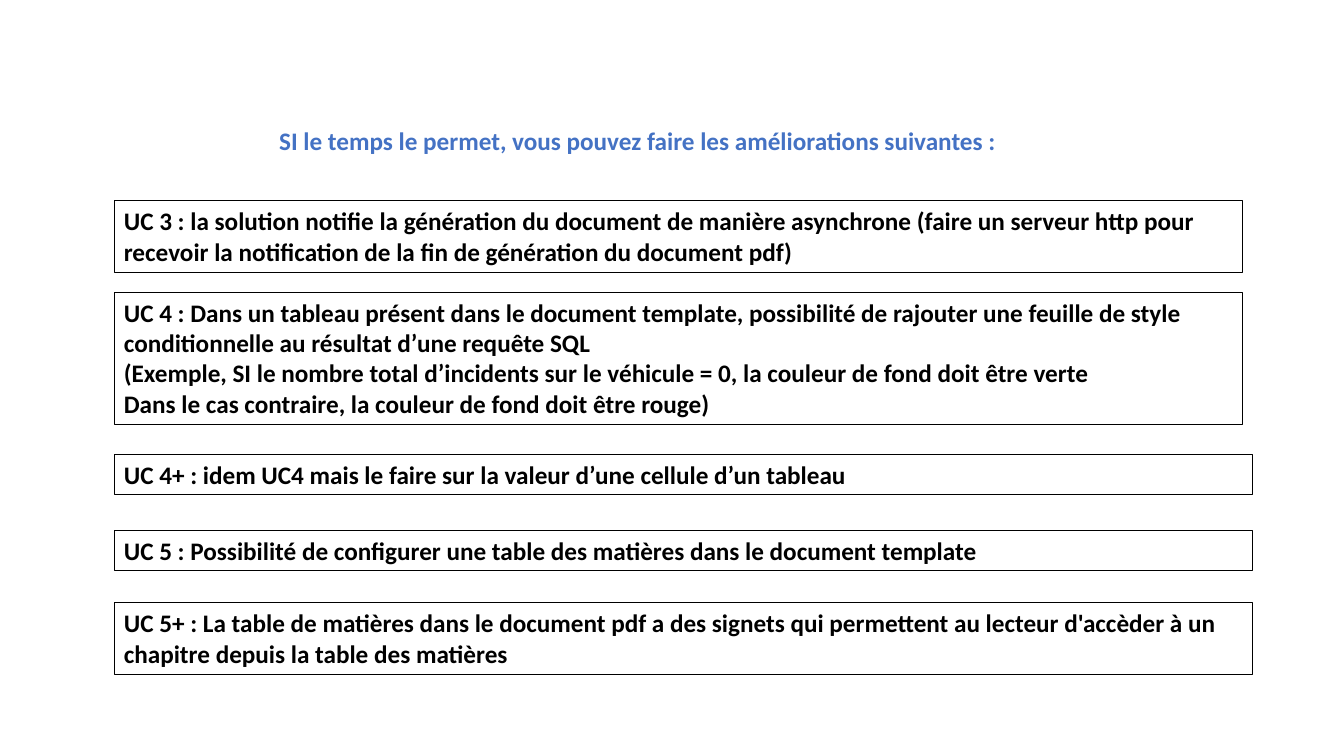
"""Build the slide listing the optional use-case improvements."""
from pptx import Presentation
from pptx import util as u
from pptx.dml.color import RGBColor
from pptx.enum import shapes, text

THEME = {
    "font": "Calibri",
    "size": u.Pt(18),
    "heading": RGBColor.from_string("4472C4"),
    "ink": RGBColor.from_string("000000"),
    "border": u.Pt(0.5),
}
LEFT = 1.13
NARROW, WIDE = 11.19, 11.29

HEADING = "SI le temps le permet, vous pouvez faire les améliorations suivantes :"
USE_CASES = [
    (1.99, NARROW, 0.71,
     "UC 3 : la solution notifie la génération du document de manière asynchrone "
     "(faire un serveur http pour recevoir la notification de la fin de génération "
     "du document pdf)"),
    (2.9, NARROW, 1.31,
     "UC 4 : Dans un tableau présent dans le document template, possibilité de "
     "rajouter une feuille de style conditionnelle au résultat d’une requête SQL\n"
     "(Exemple, SI le nombre total d’incidents sur le véhicule = 0, la couleur de "
     "fond doit être verte\n"
     "Dans le cas contraire, la couleur de fond doit être rouge)"),
    (4.51, WIDE, 0.4,
     "UC 4+ : idem UC4 mais le faire sur la valeur d’une cellule d’un tableau"),
    (5.26, WIDE, 0.4,
     "UC 5 : Possibilité de configurer une table des matières dans le document template"),
    (5.98, WIDE, 0.71,
     "UC 5+ : La table de matières dans le document pdf a des signets qui permettent "
     "au lecteur d'accèder à un chapitre depuis la table des matières"),
]


def write(sp, content, color):
    """Put bold, left-aligned text into a shape."""
    tf = sp.text_frame
    tf.text = content
    tf.word_wrap = True
    tf.auto_size = text.MSO_AUTO_SIZE.SHAPE_TO_FIT_TEXT
    tf.vertical_anchor = text.MSO_ANCHOR.TOP
    for p in tf.paragraphs:
        p.alignment = text.PP_ALIGN.LEFT
        for r in p.runs:
            r.font.name = THEME["font"]
            r.font.size = THEME["size"]
            r.font.bold = True
            r.font.color.rgb = color


prs = Presentation()
prs.slide_width, prs.slide_height = u.Inches(13.33), u.Inches(7.5)
s = prs.slides.add_slide(prs.slide_layouts[6])

heading = s.shapes.add_textbox(u.Inches(2.67), u.Inches(1.19), u.Inches(8.28), u.Inches(0.4))
write(heading, HEADING, THEME["heading"])

for top, width, height, content in USE_CASES:
    sp = s.shapes.add_shape(shapes.MSO_SHAPE.RECTANGLE, u.Inches(LEFT), u.Inches(top),
                            u.Inches(width), u.Inches(height))
    sp.shadow.inherit = False
    sp.fill.background()
    sp.line.color.rgb = THEME["ink"]
    sp.line.width = THEME["border"]
    write(sp, content, THEME["ink"])

prs.save("out.pptx")
